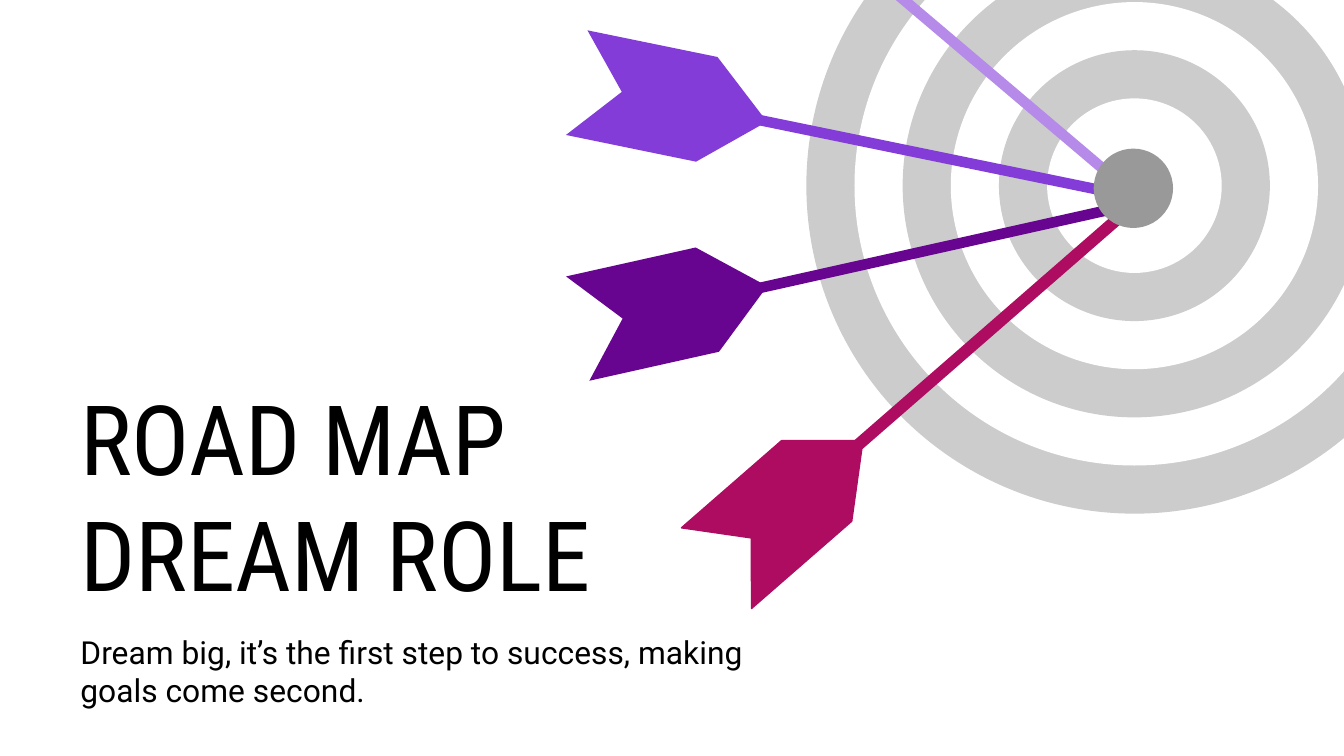
import math

import pptx
import pptx.dml.color
import pptx.enum.shapes
import pptx.enum.text
import pptx.util

Cm = pptx.util.Cm


def colour(hex_string):
    return pptx.dml.color.RGBColor.from_string(hex_string)


def paint(shape, fill, outline=None):
    shape.shadow.inherit = False
    shape.fill.solid()
    shape.fill.fore_color.rgb = colour(fill)
    if outline:
        shape.line.color.rgb = colour(outline)
        shape.line.width = pptx.util.Pt(0.75)
    else:
        shape.line.fill.background()


def write(holder, box, lines, *, font, size, ink="000000"):
    """Move a placeholder to box and fill it with one paragraph of broken lines."""
    holder.left, holder.top, holder.width, holder.height = map(Cm, box)
    frame = holder.text_frame
    frame.word_wrap = True
    frame.auto_size = pptx.enum.text.MSO_AUTO_SIZE.NONE
    frame.vertical_anchor = pptx.enum.text.MSO_ANCHOR.MIDDLE
    frame.margin_left = frame.margin_right = Cm(0.25)
    frame.margin_top = frame.margin_bottom = Cm(0.25)
    para = frame.paragraphs[0]
    para.alignment = pptx.enum.text.PP_ALIGN.LEFT
    para.line_spacing = 1.0
    para.space_before = pptx.util.Pt(0)
    for index, line in enumerate(lines):
        if index:
            para.add_line_break()
        span = para.add_run()
        span.text = line
        span.font.name = font
        span.font.size = pptx.util.Pt(size)
        span.font.color.rgb = colour(ink)


def add_disc(shapes, box, fill):
    disc = shapes.add_shape(pptx.enum.shapes.MSO_SHAPE.OVAL, *map(Cm, box))
    paint(disc, fill)


def add_target(page, box, ring_count=6, inner=3.3):
    """Concentric discs, alternating grey and white, that fill a square box."""
    left, top, outer, _ = box
    group = page.shapes.add_group_shape()
    inset = (outer - inner) / (ring_count - 1) / 2
    for ring in range(ring_count):
        gap = ring * inset
        size = outer - 2 * gap
        add_disc(group.shapes, (left + gap, top + gap, size, size),
                 "FFFFFF" if ring % 2 else "CCCCCC")


# Distance behind the tip and offset from the axis, in centimetres.
SHAFT = [(7.57, -0.1), (7.57, 0.1), (0, 0.1), (0, -0.1)]
FLETCHING = [(10.78, -1.01), (9.91, 0), (10.78, 1.01),
             (8.27, 1.01), (7.11, 0), (8.27, -1.01)]


def add_arrow(page, tip, degrees, fill, outline=None, parts=(SHAFT, FLETCHING)):
    """An arrow that flies at the given angle, clockwise from rightward, to tip."""
    cos, sin = math.cos(math.radians(degrees)), math.sin(math.radians(degrees))
    group = page.shapes.add_group_shape()
    for part in parts:
        points = [(Cm(tip[0] - back * cos - side * sin),
                   Cm(tip[1] - back * sin + side * cos)) for back, side in part]
        builder = group.shapes.build_freeform(*points[0])
        builder.add_line_segments(points[1:], close=True)
        paint(builder.convert_to_shape(), fill, outline)


def build_cover(deck):
    page = deck.slides.add_slide(deck.slide_layouts[0])
    write(page.shapes.title, (1.27, 7.37, 11.43, 3.96), ["ROAD MAP", "DREAM ROLE"],
          font="Roboto Condensed", size=52)
    write(page.placeholders[1], (1.27, 12.04, 13.97, 1.27),
          ["Dream big, it’s the first step to success, making goals come second."],
          font="Roboto", size=17)
    add_target(page, (15.24, -2.69, 12.4, 12.4))
    add_arrow(page, (21.46, 3.73), 11.6, "833CD8")
    add_arrow(page, (21.44, 3.86), -12.6, "670591")
    add_arrow(page, (21.4, 3.66), 40.3, "B58AE8", parts=(SHAFT,))
    add_arrow(page, (21.67, 3.66), -41.06, "AE0C60", outline="AE0C60")
    add_disc(page.shapes, (20.67, 2.81, 1.5, 1.5), "999999")


def main():
    deck = pptx.Presentation()
    deck.slide_width, deck.slide_height = Cm(25.4), Cm(14.29)
    build_cover(deck)
    deck.save("out.pptx")


if __name__ == "__main__":
    main()
